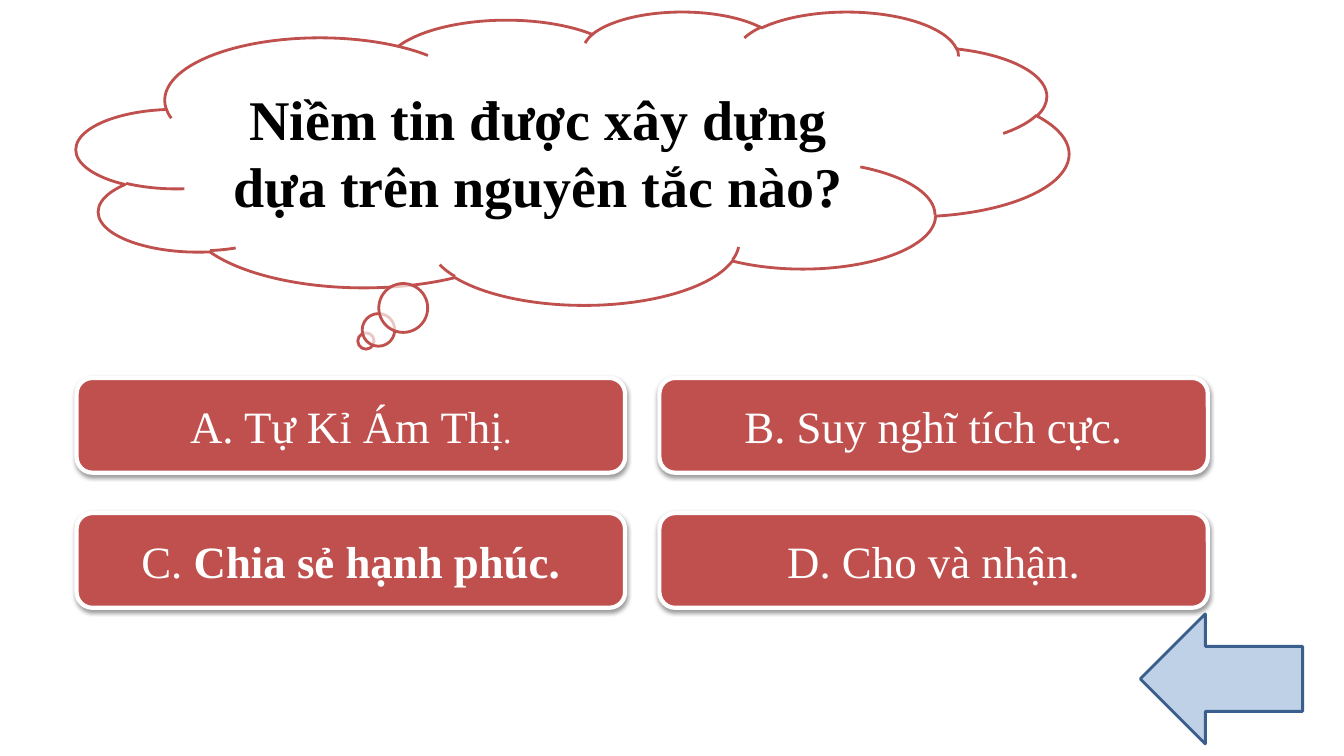
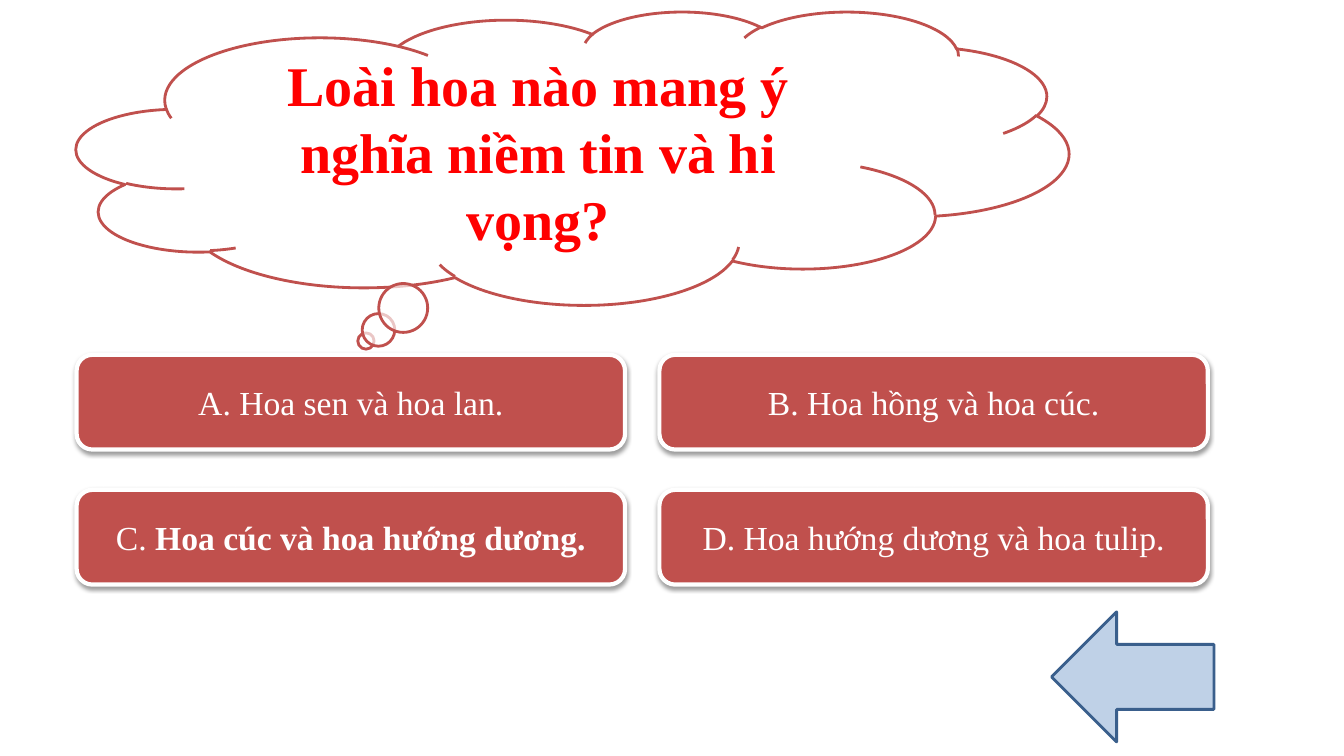
from dataclasses import dataclass

from lxml import etree
from pptx import Presentation
from pptx import util as u
from pptx.dml.color import RGBColor
from pptx.enum import shapes, text
from pptx.oxml.ns import qn

PX = 9144


@dataclass(frozen=True)
class Theme:
    font: str = "Times New Roman"
    white: str = "FFFFFF"
    black: str = "000000"
    bright: str = "FF0000"
    red: str = "C0504D"
    blue: str = "4F81BD"
    blue_edge: str = "3A5F8C"
    question_size: int = 40
    large: int = 32
    small: int = 24


T = Theme()


@dataclass(frozen=True)
class Box:
    x: int
    y: int
    w: int
    h: int

    def emu(self) -> tuple[int, ...]:
        return tuple(v * PX for v in (self.x, self.y, self.w, self.h))


@dataclass(frozen=True)
class Run:
    text: str
    size: int
    color: str = T.white
    bold: bool = False


@dataclass(frozen=True)
class Quiz:
    question: Run
    outline: str
    outline_width: float
    answers: list[list[Run]]
    answers_top: int
    arrow: Box


CLOUD = Box(76, 11, 984, 291)
QUESTION = Box(212, 55, 643, 190)
ANSWER_LEFT, ANSWER_W, ANSWER_H = 76, 544, 94
COL_STEP, ROW_STEP = 578, 134

QUIZZES = [
    Quiz(
        Run("Niềm tin được xây dựng dựa trên nguyên tắc nào?", T.question_size, T.black, True),
        T.white, 0.75,
        [
            [Run("A. Tự Kỉ Ám Thị", T.large), Run(".", T.small)],
            [Run("B. Suy nghĩ tích cực.", T.large)],
            [Run("C. ", T.large), Run("Chia sẻ hạnh phúc.", T.large, bold=True)],
            [Run("D. Cho và nhận.", T.large)],
        ],
        375, Box(1131, 609, 161, 129),
    ),
    Quiz(
        Run("Loài hoa nào mang ý nghĩa niềm tin và hi vọng?", T.question_size, T.bright, True),
        T.red, 0.52,
        [
            [Run("A. Hoa sen và hoa lan.", T.small)],
            [Run("B. Hoa hồng và hoa cúc.", T.small)],
            [Run("C. ", T.small), Run("Hoa cúc và hoa hướng dương.", T.small, bold=True)],
            [Run("D. Hoa hướng dương và hoa tulip.", T.small)],
        ],
        352, Box(1043, 607, 161, 129),
    ),
]


def add_element(parent, tag: str, **attrs):
    return etree.SubElement(parent, qn(tag), {k: str(v) for k, v in attrs.items()})


def add_shape(s, kind, box: Box, fill: str, line: str, width: int, opacity: int = 100):
    sp = s.shapes.add_shape(kind, *box.emu())
    sp.shadow.inherit = False
    sp.fill.solid()
    sp.fill.fore_color.rgb = RGBColor.from_string(fill)
    if opacity < 100:
        color = sp._element.spPr.find(qn("a:solidFill"))[0]
        add_element(color, "a:alpha", val=opacity * 1000)
    sp.line.color.rgb = RGBColor.from_string(line)
    sp.line.width = u.Pt(width)
    return sp


def add_shadow(sp) -> None:
    effects = sp._element.spPr.find(qn("a:effectLst"))
    shadow = add_element(effects, "a:outerShdw", blurRad=40000, dist=20000,
                         dir=5400000, rotWithShape=0)
    color = add_element(shadow, "a:srgbClr", val=T.black)
    add_element(color, "a:alpha", val=38000)


def write(sp, runs: list[Run]) -> None:
    tf = sp.text_frame
    tf.word_wrap = True
    tf.auto_size = text.MSO_AUTO_SIZE.NONE
    tf.vertical_anchor = text.MSO_ANCHOR.MIDDLE
    p = tf.paragraphs[0]
    p.alignment = text.PP_ALIGN.CENTER
    for run in runs:
        r = p.add_run()
        r.text = run.text
        r.font.name = T.font
        r.font.size = u.Pt(run.size)
        r.font.bold = run.bold
        r.font.color.rgb = RGBColor.from_string(run.color)


def outline_text(sp, color: str, width: float) -> None:
    for r in sp.text_frame.paragraphs[0].runs:
        props = r._r.get_or_add_rPr()
        ln = add_element(props, "a:ln", w=int(u.Pt(width)))
        add_element(add_element(ln, "a:solidFill"), "a:srgbClr", val=color)
        props.insert(0, ln)


def add_question(s, quiz: Quiz) -> None:
    add_shape(s, shapes.MSO_SHAPE.CLOUD_CALLOUT, CLOUD, T.white, T.red, 2, opacity=68)
    title = s.shapes.title
    title.left, title.top, title.width, title.height = QUESTION.emu()
    write(title, [quiz.question])
    outline_text(title, quiz.outline, quiz.outline_width)
    title._element.getparent().append(title._element)


def add_answers(s, quiz: Quiz) -> None:
    for i, runs in enumerate(quiz.answers):
        row, col = divmod(i, 2)
        box = Box(ANSWER_LEFT + col * COL_STEP, quiz.answers_top + row * ROW_STEP,
                  ANSWER_W, ANSWER_H)
        sp = add_shape(s, shapes.MSO_SHAPE.ROUNDED_RECTANGLE, box, T.red, T.white, 3)
        add_shadow(sp)
        write(sp, runs)


def main() -> None:
    prs = Presentation()
    prs.slide_width, prs.slide_height = 1333 * PX, 750 * PX
    for quiz in QUIZZES:
        s = prs.slides.add_slide(prs.slide_layouts.get_by_name("Title Only"))
        add_shape(s, shapes.MSO_SHAPE.LEFT_ARROW, quiz.arrow, T.blue, T.blue_edge, 2, opacity=36)
        add_question(s, quiz)
        add_answers(s, quiz)
    prs.save("out.pptx")


if __name__ == "__main__":
    main()
